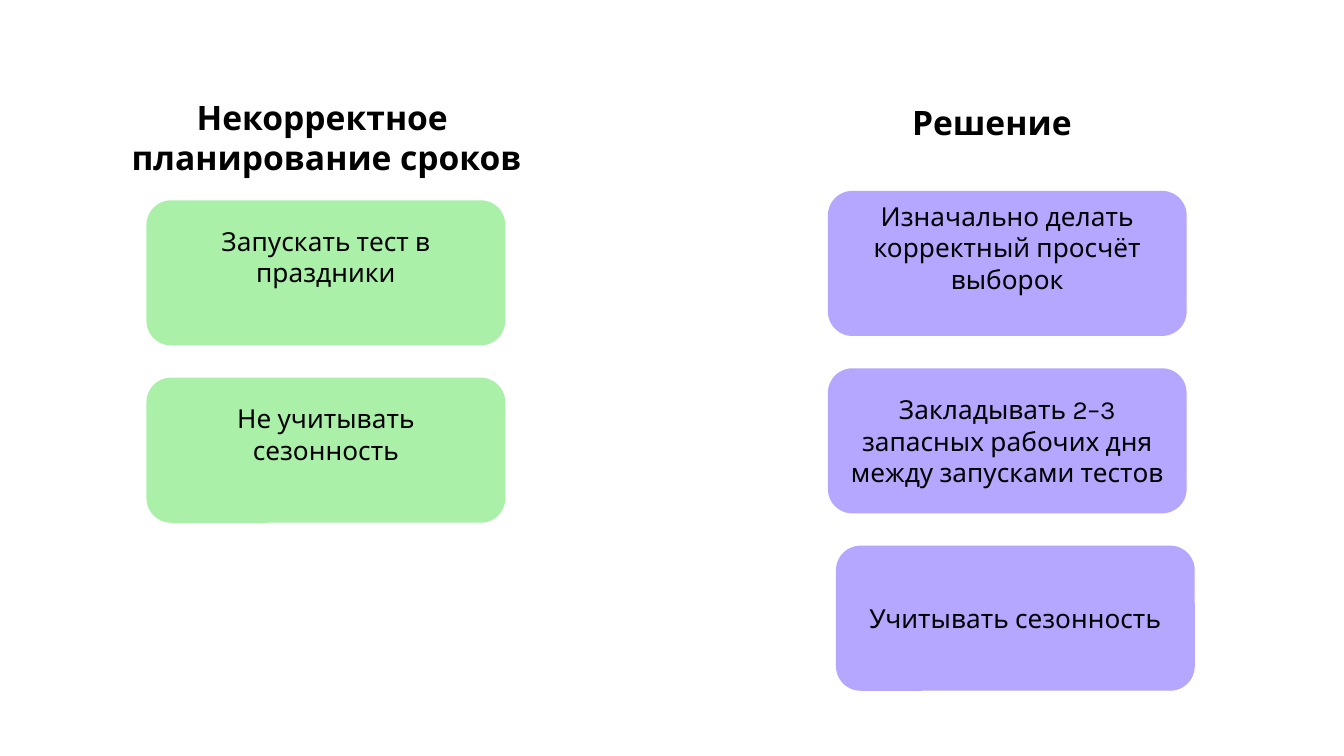
from pptx import Presentation
from pptx.dml.color import RGBColor
from pptx.enum.shapes import MSO_SHAPE
from pptx.enum.text import MSO_ANCHOR, PP_ALIGN
from pptx.util import Inches, Pt

FONT = "Karla"
BLACK = "000000"
SLIDE_WIDTH = 10
SLIDE_HEIGHT = SLIDE_WIDTH * 9 / 16
CARD_WIDTH, CARD_HEIGHT, ROW_STEP = 2.67, 1.08, 1.32
TITLE_WIDTH = 4.62
RAISED = 0.28
CENTRED = 0.04

COLUMNS = [
    {
        "title": ["Некорректное ", "планирование сроков"],
        "title_box": (0.12, 0.7, 0.92),
        "title_inset": 0.3,
        "left": 1.09,
        "top": 1.49,
        "fill": "AAF0A8",
        "cards": [
            ("Запускать тест в праздники", 0, RAISED),
            ("Не учитывать сезонность", 0, RAISED),
        ],
    },
    {
        "title": ["Решение"],
        "title_box": (5.07, 0.75, 0.31),
        "title_inset": 0,
        "left": 6.16,
        "top": 1.42,
        "fill": "B5A6FF",
        "cards": [
            ("Изначально делать корректный просчёт выборок", 0, RAISED),
            ("Закладывать 2–3 запасных рабочих дня между запусками тестов", 0, CENTRED),
            ("Учитывать сезонность", 0.06, CENTRED),
        ],
    },
]


def color(value):
    return RGBColor.from_string(value)


def write(shape, lines, size, bold, anchor, insets):
    frame = shape.text_frame
    frame.word_wrap = True
    frame.vertical_anchor = anchor
    side, top, bottom = map(Inches, insets)
    frame.margin_left = frame.margin_right = side
    frame.margin_top, frame.margin_bottom = top, bottom
    for index, line in enumerate(lines):
        paragraph = frame.add_paragraph() if index else frame.paragraphs[0]
        paragraph.alignment = PP_ALIGN.CENTER
        run = paragraph.add_run()
        run.text = line
        run.font.name = FONT
        run.font.size = Pt(size)
        run.font.bold = bold
        run.font.color.rgb = color(BLACK)


def add_title(slide, column):
    left, top, height = column["title_box"]
    box = slide.shapes.add_textbox(*map(Inches, (left, top, TITLE_WIDTH, height)))
    write(box, column["title"], 18, True, MSO_ANCHOR.BOTTOM, (0, 0.01, column["title_inset"]))


def add_card(slide, column, row):
    text, shift, bottom = column["cards"][row]
    place = (column["left"] + shift, column["top"] + row * ROW_STEP, CARD_WIDTH, CARD_HEIGHT)
    card = slide.shapes.add_shape(MSO_SHAPE.ROUNDED_RECTANGLE, *map(Inches, place))
    card.adjustments[0] = 0.17
    card.shadow.inherit = False
    card.fill.solid()
    card.fill.fore_color.rgb = color(column["fill"])
    card.line.fill.background()
    write(card, [text], 14, False, MSO_ANCHOR.MIDDLE, (0.07, 0.04, bottom))


def main():
    """Build the slide that sets planning mistakes against their solutions."""
    presentation = Presentation()
    presentation.slide_width = Inches(SLIDE_WIDTH)
    presentation.slide_height = Inches(SLIDE_HEIGHT)
    slide = presentation.slides.add_slide(presentation.slide_layouts[6])
    for column in COLUMNS:
        add_title(slide, column)
        for row in range(len(column["cards"])):
            add_card(slide, column, row)
    presentation.save("out.pptx")


if __name__ == "__main__":
    main()
